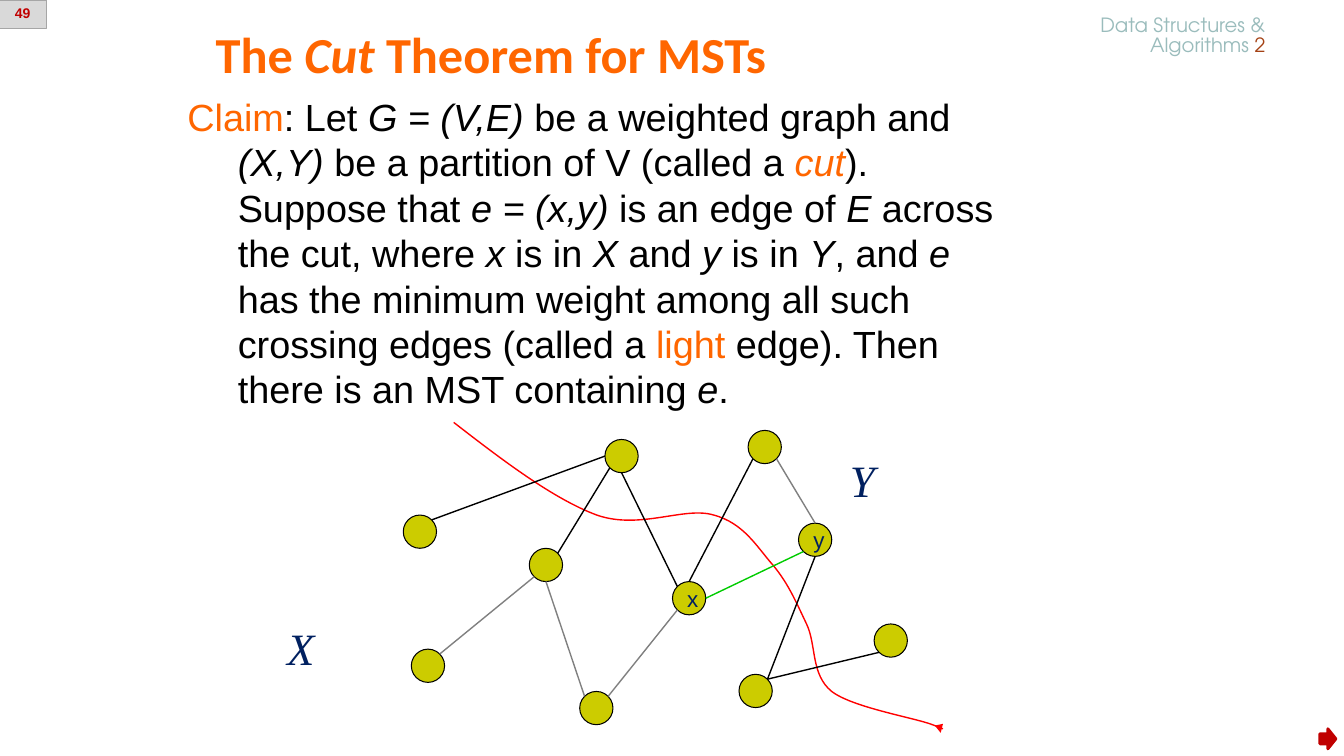
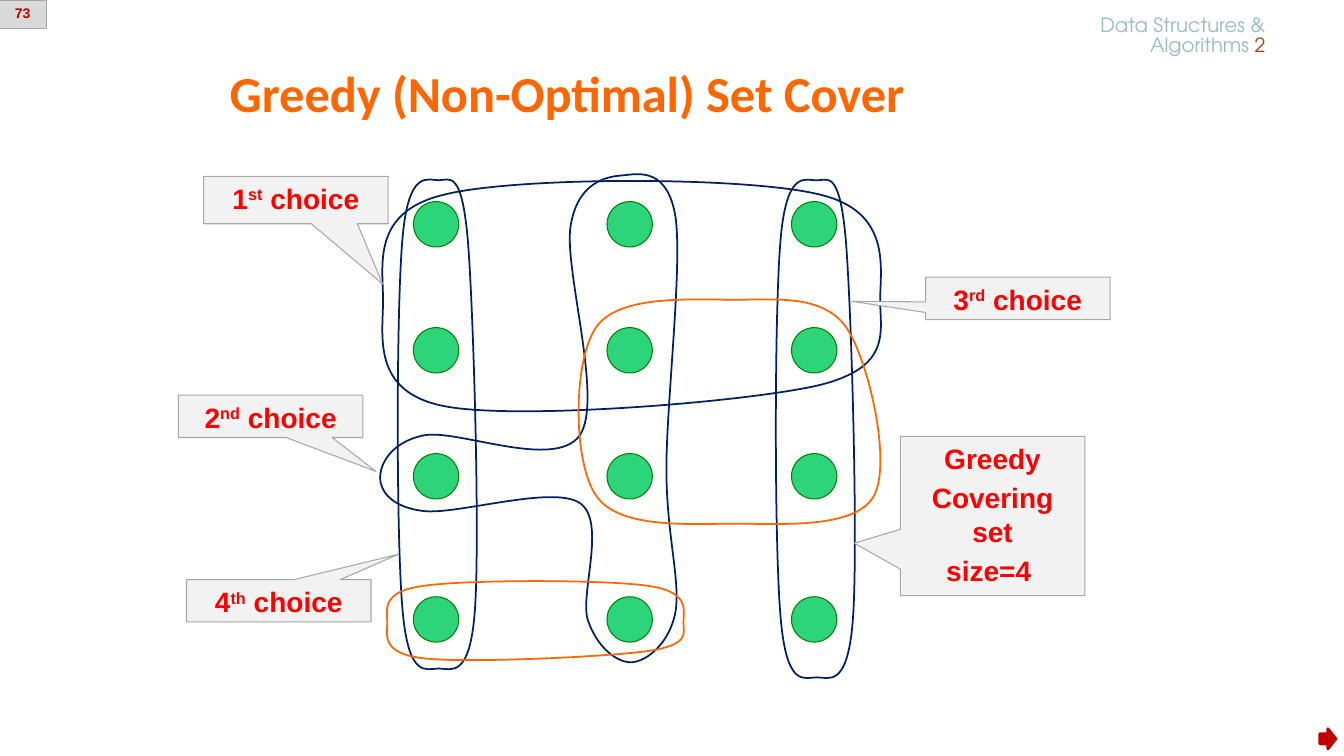
from lxml import etree
from pptx import Presentation
from pptx.dml.color import RGBColor
from pptx.enum.shapes import MSO_CONNECTOR, MSO_SHAPE
from pptx.enum.text import MSO_ANCHOR, PP_ALIGN
from pptx.oxml.ns import qn
from pptx.util import Inches, Pt

# Shared look
ORANGE, NAVY, RED, BLACK, GRAY = "FF6600", "002060", "FF0000", "000000", "808080"
DARK_RED, SILVER, GREEN = "C00000", "A6A6A6", "00CC00"
TITLE_STYLE = dict(font="Calibri", size=36, color=ORANGE, bold=True, anchor=MSO_ANCHOR.BOTTOM)
ITALIC = dict(italic=True)
ACCENT = dict(color=ORANGE)


def paint(shape, fill, line, width):
    """Set fill and outline from hex strings and remove the shadow."""
    shape.line.color.rgb = RGBColor.from_string(line)
    shape.line.width = Pt(width)
    if hasattr(shape, "fill"):
        shape.shadow.inherit = False
        if fill:
            shape.fill.solid()
            shape.fill.fore_color.rgb = RGBColor.from_string(fill)
        else:
            shape.fill.background()
    else:
        etree.SubElement(shape._element.spPr, qn("a:effectLst"))


def write(shape, *paragraphs, font="Arial", size=20, color=BLACK, bold=False,
          align=PP_ALIGN.LEFT, anchor=MSO_ANCHOR.TOP, wrap=True,
          gap=0, spacing=None, hanging=0):
    """Fill a shape with paragraphs; each is a list of strings or (string, format) runs."""
    frame = shape.text_frame
    frame.word_wrap = wrap
    frame.vertical_anchor = anchor
    for index, runs in enumerate(paragraphs):
        paragraph = frame.add_paragraph() if index else frame.paragraphs[0]
        paragraph.alignment = align
        if index and gap:
            paragraph.space_before = Pt(gap)
        if spacing:
            paragraph.line_spacing = spacing
        if hanging:
            properties = paragraph._p.get_or_add_pPr()
            properties.set("marL", str(Inches(hanging)))
            properties.set("indent", str(-Inches(hanging)))
        for item in runs:
            text, style = (item, {}) if isinstance(item, str) else item
            run = paragraph.add_run()
            run.text = text
            run.font.name = font
            run.font.size = Pt(size)
            run.font.bold = bold
            run.font.italic = style.get("italic", False)
            run.font.color.rgb = RGBColor.from_string(style.get("color", color))
            if "raised" in style:
                run._r.get_or_add_rPr().set("baseline", str(style["raised"] * 1000))


presentation = Presentation()
presentation.slide_width = Inches(13.33)
presentation.slide_height = Inches(7.5)
blank = presentation.slide_layouts[6]
theorem_slide = presentation.slides.add_slide(blank)
cover_slide = presentation.slides.add_slide(blank)

# Titles, course name, page numbers and corner arrows
for slide, number, left, top, title in [
    (theorem_slide, "49", 2.04, 0.29, ["The ", ("Cut", ITALIC), " Theorem for MSTs"]),
    (cover_slide, "73", 2.18, 0.68, ["Greedy (Non-Optimal) Set Cover"]),
]:
    shapes = slide.shapes
    write(shapes.add_textbox(Inches(left), Inches(top), Inches(7.72), Inches(0.59)),
          title, **TITLE_STYLE)
    write(shapes.add_textbox(Inches(10.45), Inches(0.12), Inches(2.2), Inches(0.49)),
          ["Data Structures &"], ["Algorithms ", ("2", dict(color="A44114"))],
          font="TeX Gyre Adventor", size=14, color="9ABCBC",
          align=PP_ALIGN.RIGHT, spacing=Pt(14))
    arrow = shapes.add_shape(MSO_SHAPE.RIGHT_ARROW, Inches(13.09), Inches(7.23),
                             Inches(0.16), Inches(0.2))
    paint(arrow, DARK_RED, DARK_RED, 2)
    badge = shapes.add_shape(MSO_SHAPE.RECTANGLE, Inches(-0.01), 0, Inches(0.47), Inches(0.28))
    paint(badge, "D9D9D9", SILVER, 0.75)
    write(badge, [number], size=10, color=DARK_RED, bold=True, align=PP_ALIGN.CENTER)

# Curves: a start point, then three Bézier points per piece
cut_curve = [
    (4.5, 4.19),
    (4.99, 4.57), (5.49, 4.95), (5.92, 5.11),
    (6.35, 5.26), (6.79, 5.02), (7.08, 5.11),
    (7.38, 5.19), (7.51, 5.43), (7.67, 5.61),
    (7.82, 5.79), (7.9, 5.98), (8, 6.19),
    (8.1, 6.4), (8.04, 6.69), (8.25, 6.86),
    (8.46, 7.02), (9.07, 7.12), (9.25, 7.19),
    (9.43, 7.26), (9.32, 7.26), (9.33, 7.27),
]
branching_set = [
    (5.66, 2.24),
    (5.59, 2.67), (5.99, 3.97), (5.75, 4.32),
    (5.5, 4.67), (4.53, 4.25), (4.2, 4.32),
    (3.87, 4.39), (3.77, 4.61), (3.77, 4.74),
    (3.77, 4.86), (3.87, 5.03), (4.2, 5.07),
    (4.53, 5.11), (5.48, 4.81), (5.75, 4.99),
    (6.02, 5.17), (5.75, 5.89), (5.83, 6.15),
    (5.92, 6.42), (6.12, 6.58), (6.27, 6.57),
    (6.41, 6.56), (6.64, 6.39), (6.7, 6.07),
    (6.75, 5.75), (6.61, 5.31), (6.61, 4.65),
    (6.61, 4), (6.77, 2.64), (6.7, 2.15),
    (6.62, 1.67), (6.35, 1.72), (6.18, 1.74),
    (6.01, 1.75), (5.73, 1.81), (5.66, 2.24),
]
# Rounded set outline in a box of 2.42 by 5.17, stretched to each set below
OUTLINE_WIDTH, OUTLINE_HEIGHT = 2.42, 5.17
set_outline = [
    (0.18, 0.72),
    (0, 1.44), (0, 3.72), (0.18, 4.44),
    (0.35, 5.17), (0.88, 5.05), (1.23, 5.05),
    (1.58, 5.05), (2.14, 5.17), (2.28, 4.44),
    (2.42, 3.72), (2.24, 1.44), (2.07, 0.72),
    (1.89, 0), (1.54, 0.12), (1.23, 0.12),
    (0.91, 0.12), (0.35, 0), (0.18, 0.72),
]
curves = [(theorem_slide, RED, 1, cut_curve), (cover_slide, NAVY, 1.25, branching_set)]
for left, top, width, height, turned, color in [
    (3.93, 1.67, 0.83, 5.08, False, NAVY),
    (7.68, 1.67, 0.83, 5.17, False, NAVY),
    (3.68, 1.75, 5.17, 2.42, True, NAVY),
    (5.68, 2.92, 3.17, 2.33, False, ORANGE),
    (3.77, 5.75, 3.08, 0.83, True, ORANGE),
]:
    points = []
    for x, y in set_outline:
        across, down = x / OUTLINE_WIDTH, y / OUTLINE_HEIGHT
        if turned:
            across, down = 1 - down, across
        points.append((left + width * across, top + height * down))
    curves.append((cover_slide, color, 1.25, points))

for slide, color, width, points in curves:
    start, *others = [(Inches(x), Inches(y)) for x, y in points]
    builder = slide.shapes.build_freeform(*start)
    is_cut = points is cut_curve
    builder.add_line_segments(others, close=not is_cut)
    curve = builder.convert_to_shape()
    paint(curve, None, color, width)
    # Join every three straight pieces into one Bézier piece
    lines = list(curve._element.spPr.iter(qn("a:lnTo")))
    for first in range(0, len(lines), 3):
        bezier = etree.Element(qn("a:cubicBezTo"))
        lines[first].addprevious(bezier)
        for line in lines[first:first + 3]:
            bezier.append(line[0])
            line.getparent().remove(line)
    if is_cut:
        outline = curve._element.spPr.find(qn("a:ln"))
        etree.SubElement(outline, qn("a:tailEnd"), type="triangle")

# Theorem slide: claim
claim = theorem_slide.shapes.add_textbox(Inches(1.76), Inches(0.88), Inches(8.29), Inches(3.34))
write(claim, [
    ("Claim", ACCENT), ": Let ", ("G = (V,E)", ITALIC), " be a weighted graph and ",
    ("(X,Y)", ITALIC), " be a partition of V (called a ",
    ("cut", dict(ITALIC, **ACCENT)), "). Suppose that ", ("e = (x,y)", ITALIC),
    " is an edge of ", ("E", ITALIC), " across the cut, where ", ("x", ITALIC),
    " is in ", ("X", ITALIC), " and ", ("y", ITALIC), " is in ", ("Y", ITALIC),
    ", and ", ("e", ITALIC),
    " has the minimum weight among all such crossing edges (called a ",
    ("light", ACCENT), " edge). Then there is an MST containing ", ("e", ITALIC), ".",
], size=27, hanging=0.5)

# Theorem slide: graph nodes, then edges between compass points on their rims
NODE = 0.33
nodes = {
    "top": (6, 4.36), "top right": (7.42, 4.27), "far left": (4, 5.11),
    "middle": (5.25, 5.44), "low left": (4.08, 6.44), "bottom": (5.75, 6.86),
    "low right": (7.33, 6.69), "far right": (8.67, 6.19),
    "x": (6.67, 5.77), "y": (7.92, 5.19),
}
for name, (left, top) in nodes.items():
    node = theorem_slide.shapes.add_shape(MSO_SHAPE.OVAL, Inches(left), Inches(top),
                                          Inches(NODE), Inches(NODE))
    paint(node, "CCCC00", BLACK, 0.75)
    if name in ("x", "y"):
        write(node, [name], size=16, color=NAVY, anchor=MSO_ANCHOR.MIDDLE, wrap=False)

DIAGONAL = 0.71
compass = {
    "N": (0, -1), "S": (0, 1), "E": (1, 0), "W": (-1, 0),
    "NE": (DIAGONAL, -DIAGONAL), "NW": (-DIAGONAL, -DIAGONAL),
    "SE": (DIAGONAL, DIAGONAL), "SW": (-DIAGONAL, DIAGONAL),
}
for start, start_side, end, end_side, color in [
    ("top", "SW", "middle", "NE", BLACK),
    ("top", "S", "x", "NW", BLACK),
    ("top right", "SW", "x", "N", BLACK),
    ("y", "SW", "x", "E", GREEN),
    ("y", "S", "low right", "NE", BLACK),
    ("far right", "SW", "low right", "NE", BLACK),
    ("far left", "NE", "top", "W", BLACK),
    ("middle", "SW", "low left", "NE", GRAY),
    ("middle", "S", "bottom", "NW", GRAY),
    ("top right", "SE", "y", "N", GRAY),
    ("x", "SW", "bottom", "NE", GRAY),
]:
    ends = [Inches(corner + NODE / 2 * (1 + direction))
            for name, side in ((start, start_side), (end, end_side))
            for corner, direction in zip(nodes[name], compass[side])]
    edge = theorem_slide.shapes.add_connector(MSO_CONNECTOR.STRAIGHT, *ends)
    paint(edge, None, color, 1)

for letter, left, top, width in [("X", 2.75, 6.11, 0.92), ("Y", 8.33, 4.44, 1.17)]:
    label = theorem_slide.shapes.add_textbox(Inches(left), Inches(top), Inches(width), Inches(0.63))
    write(label, [(letter, ITALIC)], font="Times New Roman", size=32, color=NAVY)

# Cover slide: grid of elements
for top in (2, 3.25, 4.5, 5.92):
    for left in (4.1, 6.02, 7.85):
        element = cover_slide.shapes.add_shape(MSO_SHAPE.FLOWCHART_CONNECTOR, Inches(left),
                                               Inches(top), Inches(0.45), Inches(0.45))
        paint(element, "2ED479", "008000", 0.75)

# Cover slide: callouts
callouts = [(8.93, 4.33, 1.58, (-0.75, 0.17), [["Greedy"], ["Covering set"], ["size=4 "]])]
for digit, ending, left, top, height, pointer in [
    ("3", "rd", 9.18, 2.75, 0.42, (-0.9, 0.07)),
    ("1", "st", 2.02, 1.75, 0.47, (0.47, 1.77)),
    ("2", "nd", 1.77, 3.92, 0.42, (0.57, 1.3)),
    ("4", "th", 1.85, 5.75, 0.42, (0.65, -1.1)),
]:
    text = [[digit, (ending, dict(raised=30)), " choice"]]
    callouts.append((left, top, height, pointer, text))
for left, top, height, pointer, text in callouts:
    callout = cover_slide.shapes.add_shape(MSO_SHAPE.RECTANGULAR_CALLOUT, Inches(left),
                                           Inches(top), Inches(1.83), Inches(height))
    callout.adjustments[0], callout.adjustments[1] = pointer
    paint(callout, "F2F2F2", SILVER, 0.75)
    write(callout, *text, color=RED, bold=True, align=PP_ALIGN.CENTER, gap=4)

presentation.save("out.pptx")
